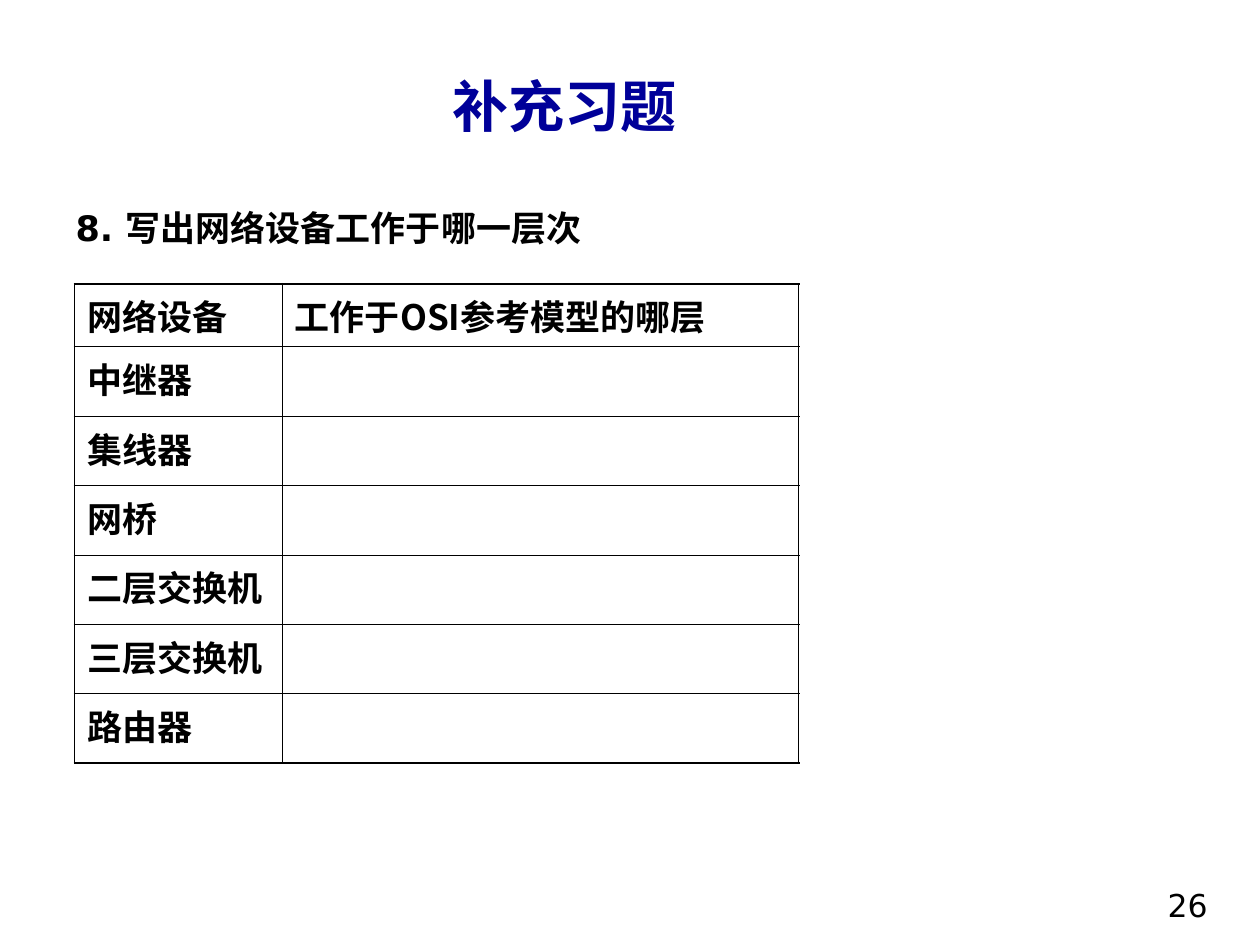
from lxml import etree
from pptx import Presentation
from pptx.dml.color import RGBColor
from pptx.enum.text import MSO_ANCHOR, PP_ALIGN
from pptx.oxml.ns import qn
from pptx.util import Cm, Pt

BLACK = RGBColor(0x00, 0x00, 0x00)
WHITE = RGBColor(0xFF, 0xFF, 0xFF)
NAVY = RGBColor(0x00, 0x00, 0x99)
LEFT, CENTER = PP_ALIGN.LEFT, PP_ALIGN.CENTER
TOP = MSO_ANCHOR.TOP
SANS, HAN, SERIF = "DejaVu Sans", "Noto Sans CJK SC", "Times New Roman"


def write(frame, text, size, face, color=BLACK, bold=True, align=LEFT):
    frame.text = text
    frame.word_wrap = True
    frame.vertical_anchor = TOP
    para = frame.paragraphs[0]
    para.alignment = align
    font = para.font
    font.size, font.name, font.bold = Pt(size), face, bold
    font.color.rgb = color
    return para


def edge(cell, side, width):
    line = etree.SubElement(cell._tc.get_or_add_tcPr(), qn("a:" + side),
                            w=str(Pt(width)))
    fill = etree.SubElement(line, qn("a:solidFill"))
    etree.SubElement(fill, qn("a:srgbClr"), val=str(BLACK))


prs = Presentation()
prs.slide_width, prs.slide_height = Cm(25.4), Cm(19.05)
slide = prs.slides.add_slide(prs.slide_layouts[5])

# Slide number
num = slide.shapes.add_textbox(Cm(23.29), Cm(17.73), Cm(2.11), Cm(1.17))
write(num.text_frame, "26", 18, SANS, bold=False)

# Question as the title
title = slide.shapes.title
title.left, title.top = Cm(1.27), Cm(4.14)
title.width, title.height = Cm(22.86), Cm(1.37)
title.fill.solid()
title.fill.fore_color.rgb = WHITE
para = write(title.text_frame, "8. 写出网络设备工作于哪一层次", 20, SANS)
para.line_spacing = 0.9

# Table of devices, with the layer left to fill in
names = ["网络设备", "中继器", "集线器", "网桥", "二层交换机", "三层交换机", "路由器"]
last = len(names) - 1
table = slide.shapes.add_table(len(names), 2, Cm(1.5), Cm(5.72),
                               Cm(14.6), Cm(9.67)).table
table.columns[0].width, table.columns[1].width = Cm(4.19), Cm(10.41)
for i, name in enumerate(names):
    table.rows[i].height = Cm(1.4 if i else 1.27)
    write(table.cell(i, 0).text_frame, name, 20, HAN)
    for j in range(2):
        cell = table.cell(i, j)
        edge(cell, "lnL", 0.45 if j else 1.08)
        edge(cell, "lnR", 1.08 if j else 0.45)
        edge(cell, "lnT", 0.45 if i else 1.08)
        edge(cell, "lnB", 1.08 if i == last else 0.45)
        cell.fill.background()
write(table.cell(0, 1).text_frame, "工作于OSI参考模型的哪层", 20, HAN)

# Heading
head = slide.shapes.add_textbox(Cm(7.9), Cm(1.47), Cm(6.96), Cm(1.63))
para = write(head.text_frame, "补充习题", 32, SERIF, NAVY, align=CENTER)
para.line_spacing = 0.9

prs.save("out.pptx")
